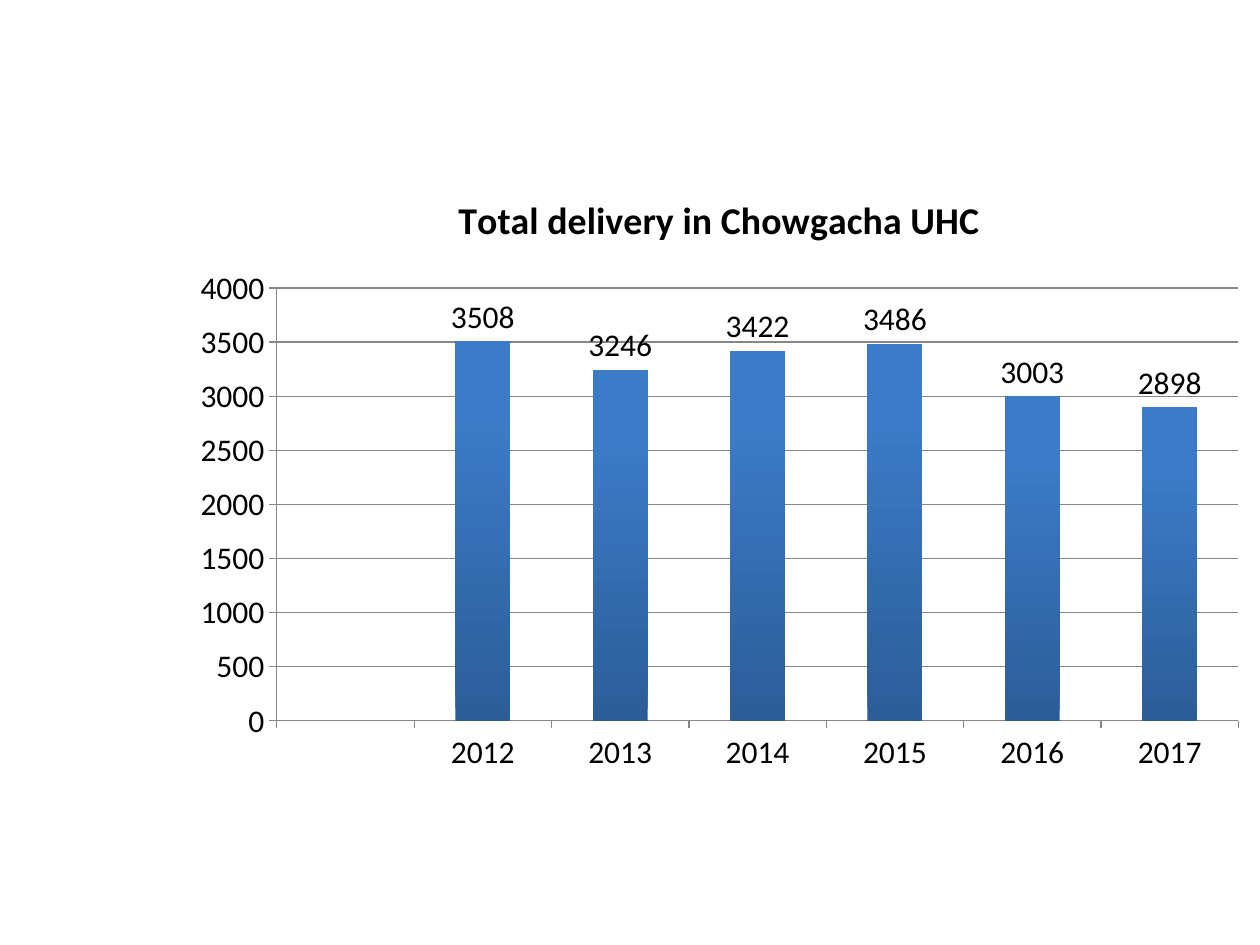
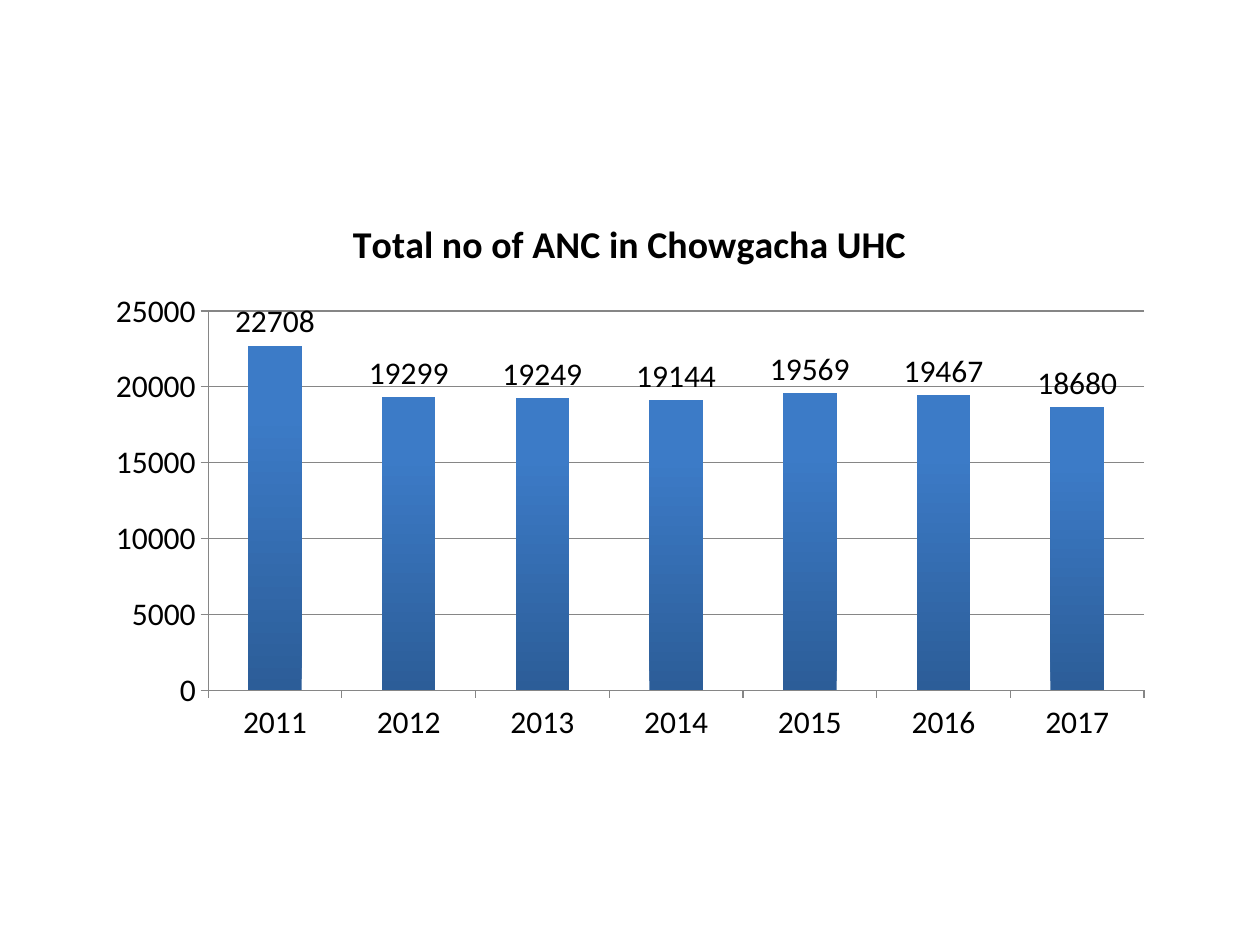
from pptx import Presentation
from pptx import util as u
from pptx.chart.data import CategoryChartData
from pptx.dml.color import RGBColor
from pptx.enum import chart as ch

BLACK = RGBColor(0x00, 0x00, 0x00)
AXIS_GREY = RGBColor(0x86, 0x86, 0x86)
BAR_DARK = RGBColor(0x2C, 0x5D, 0x98)
BAR_LIGHT = RGBColor(0x3C, 0x7B, 0xC7)

BLANK_LAYOUT = 6
CHART_FONT = {"name": "Calibri", "size": u.Pt(18), "bold": False}
TITLE_FONT = {"name": "Calibri", "size": u.Pt(21.6), "bold": True}
TICKS = {
    "major_tick_mark": ch.XL_TICK_MARK.OUTSIDE,
    "minor_tick_mark": ch.XL_TICK_MARK.NONE,
}
VALUE_LABELS = {
    "show_value": True,
    "position": ch.XL_LABEL_POSITION.OUTSIDE_END,
}

YEARS = ["2011", "2012", "2013", "2014", "2015", "2016", "2017"]
DELIVERIES = [None, 3508, 3246, 3422, 3486, 3003, 2898]
ANC_VISITS = [22708, 19299, 19249, 19144, 19569, 19467, 18680]


def apply(target, settings):
    for name, value in settings.items():
        setattr(target, name, value)


def style_font(font, settings):
    apply(font, settings)
    font.color.rgb = BLACK


def style_line(line):
    line.color.rgb = AXIS_GREY
    line.width = u.Pt(0.75)


def style_axes(chart, top, step):
    for axis in (chart.category_axis, chart.value_axis):
        apply(axis, TICKS)
        style_line(axis.format.line)
    chart.category_axis.has_major_gridlines = False
    apply(chart.value_axis, {
        "minimum_scale": 0,
        "maximum_scale": top,
        "major_unit": step,
        "has_major_gridlines": True,
    })
    style_line(chart.value_axis.major_gridlines.format.line)


def style_bars(plot):
    """Bars fade from dark at the foot to light near the top."""
    apply(plot, {"gap_width": 150, "vary_by_categories": False,
                 "has_data_labels": True})
    apply(plot.data_labels, VALUE_LABELS)
    fill = plot.series[0].format.fill
    fill.gradient()
    fill.gradient_angle = 90
    stops = ((0, BAR_DARK), (0.8, BAR_LIGHT))
    for stop, (position, color) in zip(fill.gradient_stops, stops):
        stop.position = position
        stop.color.rgb = color


def set_title(chart, title):
    chart.has_title = True
    chart.chart_title.include_in_layout = False
    paragraph = chart.chart_title.text_frame.paragraphs[0]
    run = paragraph.add_run()
    run.text = title
    style_font(run.font, TITLE_FONT)


def add_yearly_chart(prs, title, years, totals, box, top, step):
    slide = prs.slides.add_slide(prs.slide_layouts[BLANK_LAYOUT])
    data = CategoryChartData()
    data.categories = years
    data.add_series("Series 1", totals)
    chart = slide.shapes.add_chart(
        ch.XL_CHART_TYPE.COLUMN_CLUSTERED, *map(u.Inches, box), data).chart
    chart.has_legend = False
    style_font(chart.font, CHART_FONT)
    set_title(chart, title)
    style_axes(chart, top, step)
    style_bars(chart.plots[0])


def main():
    prs = Presentation()
    prs.slide_width, prs.slide_height = u.Inches(10), u.Inches(7.5)
    add_yearly_chart(prs, "Total delivery in Chowgacha UHC",
                     [""] + YEARS[1:], DELIVERIES,
                     (1.42, 1.33, 8.58, 4.89), top=4000, step=500)
    add_yearly_chart(prs, "Total no of ANC in Chowgacha UHC",
                     YEARS, ANC_VISITS,
                     (0.75, 1.53, 8.5, 4.44), top=25000, step=5000)
    prs.save("out.pptx")


if __name__ == "__main__":
    main()
